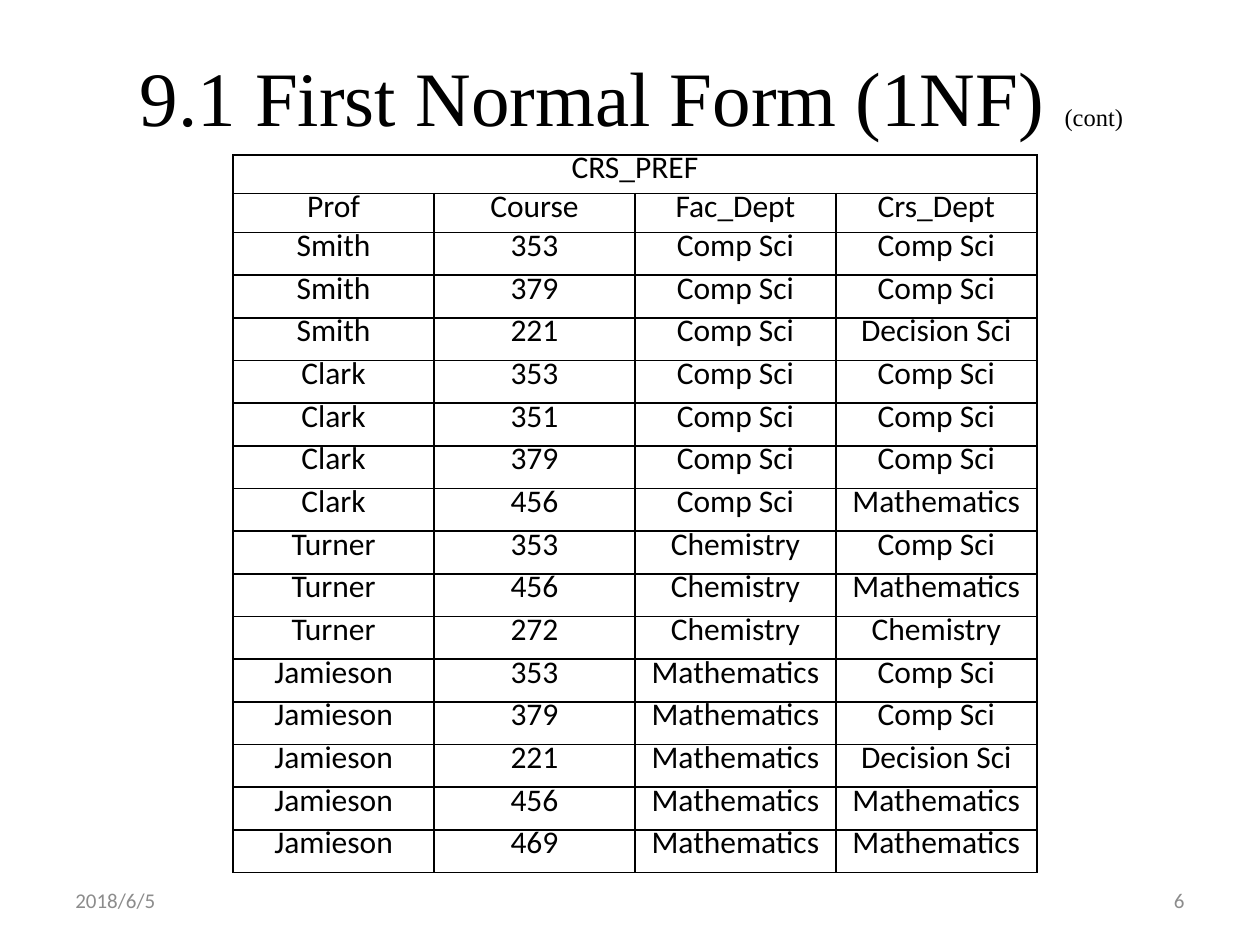
from lxml import etree
from pptx import Presentation, util as u
from pptx.dml.color import RGBColor
from pptx.enum import text
from pptx.oxml.ns import qn

BLACK, GREY, WHITE = "000000", "8C8C8C", "FFFFFF"
HEADINGS = ["Prof", "Course", "Fac_Dept", "Crs_Dept"]
CS, MATH, CHEM, DEC = "Comp Sci", "Mathematics", "Chemistry", "Decision Sci"
# Professor, department, then (course, department of the course)
PREFERENCES = [
    ("Smith", CS, [("353", CS), ("379", CS), ("221", DEC)]),
    ("Clark", CS, [("353", CS), ("351", CS), ("379", CS), ("456", MATH)]),
    ("Turner", CHEM, [("353", CS), ("456", MATH), ("272", CHEM)]),
    ("Jamieson", MATH, [("353", CS), ("379", CS), ("221", DEC),
                        ("456", MATH), ("469", MATH)]),
]


def color(target, hex_value):
    """Give a font colour or a solid fill's colour from a hex string."""
    target.rgb = RGBColor.from_string(hex_value)


def set_all(obj, **values):
    """Set several attributes of one object."""
    for name, value in values.items():
        setattr(obj, name, value)


def add_run(p, words, size, font="Calibri", hex_value=BLACK):
    """Append a formatted run to a paragraph."""
    r = p.add_run()
    r.text = words
    set_all(r.font, name=font, size=u.Pt(size))
    color(r.font.color, hex_value)


def add_title(s):
    """Fill the title placeholder with the heading and its small suffix."""
    sp = s.shapes.title
    set_all(sp, left=u.Cm(1.3), top=u.Cm(0.33), width=u.Cm(22.86), height=u.Cm(3.18))
    tf = sp.text_frame
    set_all(tf, word_wrap=True, auto_size=text.MSO_AUTO_SIZE.NONE,
            vertical_anchor=text.MSO_ANCHOR.MIDDLE)
    p = tf.paragraphs[0]
    p.alignment = text.PP_ALIGN.CENTER
    for words, size in (("9.1 First Normal Form (1NF) ", 44), ("(cont)", 14)):
        add_run(p, words, size, "Times New Roman")


def add_footer(s, words, left, align):
    """Add a grey footer text."""
    sp = s.shapes.add_textbox(u.Cm(left), u.Cm(17.65), u.Cm(5.93), u.Cm(1.01))
    tf = sp.text_frame
    set_all(tf, word_wrap=True, vertical_anchor=text.MSO_ANCHOR.MIDDLE)
    p = tf.paragraphs[0]
    p.alignment = align
    add_run(p, words, 12, hex_value=GREY)


def add_borders(cell):
    """Draw a thin black line on each side of a cell."""
    tc_pr = cell._tc.get_or_add_tcPr()
    for i, side in enumerate(("a:lnL", "a:lnR", "a:lnT", "a:lnB")):
        ln = etree.Element(qn(side), w=str(u.Pt(1)))
        fill = etree.SubElement(ln, qn("a:solidFill"))
        etree.SubElement(fill, qn("a:srgbClr"), val=BLACK)
        tc_pr.insert(i, ln)


def format_cell(cell, words):
    """Write centred text into a bordered white cell."""
    cell.fill.solid()
    color(cell.fill.fore_color, WHITE)
    add_borders(cell)
    p = cell.text_frame.paragraphs[0]
    set_all(p, alignment=text.PP_ALIGN.CENTER, line_spacing=u.Pt(15))
    if words:
        add_run(p, words, 18)


def add_preferences(s):
    """Add the table of course preferences."""
    rows = [["CRS_PREF", "", "", ""], HEADINGS]
    rows += [[prof, course, dept, crs_dept]
             for prof, dept, courses in PREFERENCES
             for course, crs_dept in courses]
    table = s.shapes.add_table(len(rows), len(HEADINGS), u.Cm(4.7), u.Cm(3.12),
                               u.Cm(16.2), u.Cm(14.43)).table
    set_all(table, first_row=False, horz_banding=False)
    for col in table.columns:
        col.width = u.Cm(4.05)
    for i, values in enumerate(rows):
        table.rows[i].height = u.Cm(0.78 if i < 2 else 0.86)
        for j, words in enumerate(values):
            format_cell(table.cell(i, j), words)
    table.cell(0, 0).merge(table.cell(0, len(HEADINGS) - 1))


def main():
    """Build and save the slide."""
    prs = Presentation()
    set_all(prs, slide_width=u.Cm(25.4), slide_height=u.Cm(19.05))
    s = prs.slides.add_slide(prs.slide_layouts[5])
    add_preferences(s)
    add_title(s)
    add_footer(s, "2018/6/5", 1.27, text.PP_ALIGN.LEFT)
    add_footer(s, "6", 18.2, text.PP_ALIGN.RIGHT)
    prs.save("out.pptx")


main()
